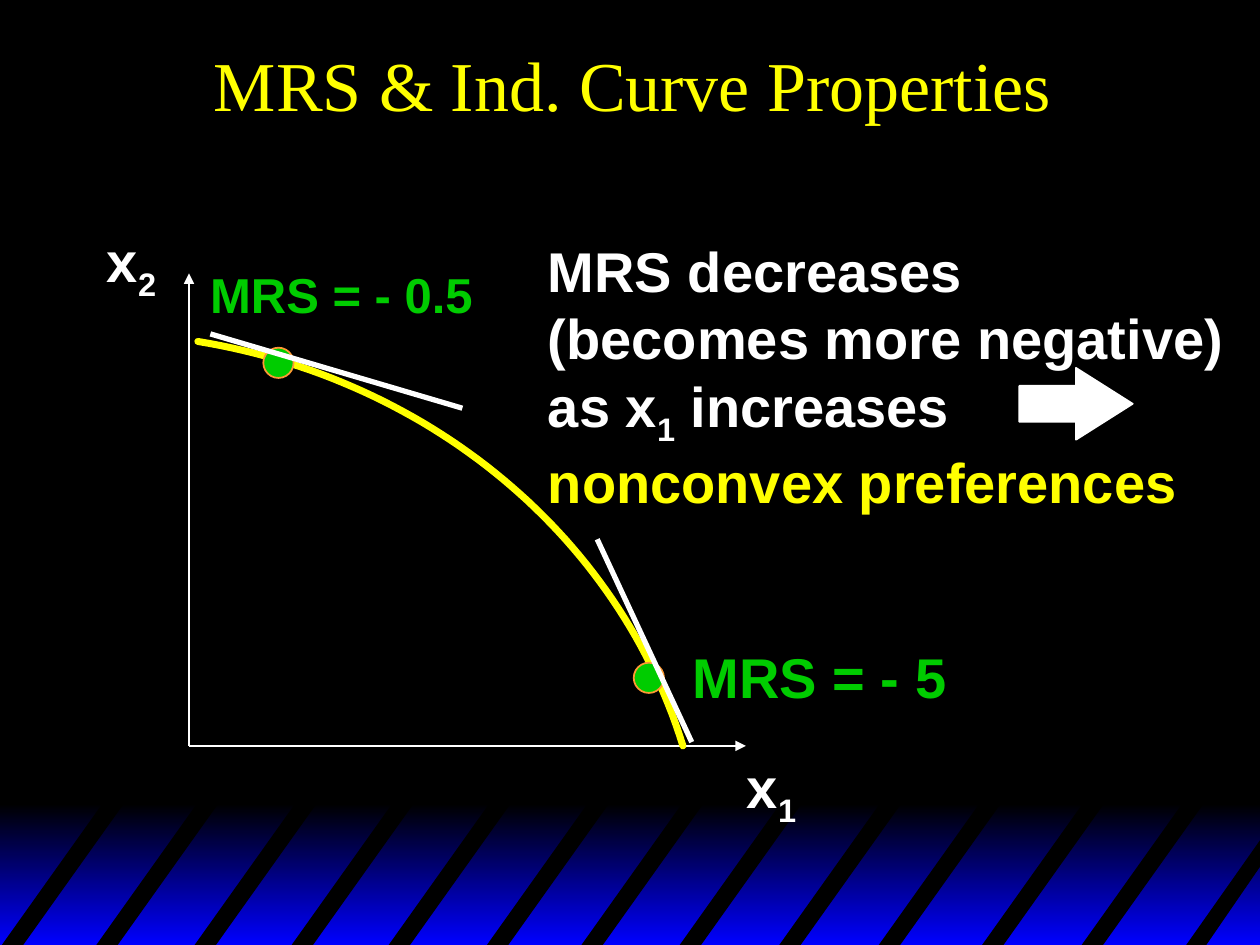
import pptx
import pptx.dml.color
import pptx.enum.shapes
import pptx.enum.text
import pptx.oxml.ns
import pptx.util
from dataclasses import dataclass
from lxml import etree
from pptx.util import Inches


def rgb(code):
    return pptx.dml.color.RGBColor.from_string(code)


@dataclass(frozen=True)
class Theme:
    black = rgb("000000")
    blue = rgb("0000FF")
    white = rgb("FFFFFF")
    yellow = rgb("FFFF00")
    green = rgb("00CC00")
    orange = rgb("FF9933")
    heading_font = "Times New Roman"
    body_font = "Arial"
    heading = 40
    body = 32
    small = 28


theme = Theme()
qn = pptx.oxml.ns.qn

deck = pptx.Presentation()
deck.slide_width, deck.slide_height = Inches(10), Inches(7.5)
slide = deck.slides.add_slide(deck.slide_layouts[6])
slide.background.fill.solid()
slide.background.fill.fore_color.rgb = theme.black
shapes = slide.shapes
kinds = pptx.enum.shapes.MSO_SHAPE

# Blue glow along the foot of the slide, cut by slanted black stripes
glow = shapes.add_shape(kinds.RECTANGLE, 0, Inches(6.38), Inches(10), Inches(1.12))
glow.shadow.inherit = False
glow.line.fill.background()
glow.fill.gradient()
glow.fill.gradient_angle = 270
for stop, position, colour in zip(glow.fill.gradient_stops, (0, 1), (theme.black, theme.blue)):
    stop.position = position
    stop.color.rgb = colour

stripe_lefts = [0, 0.75, 1.53, 2.3, 3.07, 3.85, 4.6, 5.38, 6.17, 6.96, 7.78, 8.57]
stripes = [
    [(left, 7.52), (left + 0.84, 6.34), (left + 1.01, 6.34), (left + 0.17, 7.52)]
    for left in stripe_lefts
]
stripes.append([(9.4, 7.52), (10.02, 6.64), (10.02, 6.85), (9.56, 7.52)])
for corners in stripes:
    points = [(Inches(x), Inches(y)) for x, y in corners]
    outline = shapes.build_freeform(*points[0])
    outline.add_line_segments(points[1:], close=True)
    stripe = outline.convert_to_shape()
    stripe.shadow.inherit = False
    stripe.fill.solid()
    stripe.fill.fore_color.rgb = theme.black
    stripe.line.fill.background()


def add_text(box, pieces, size, font=theme.body_font, bold=True, wrap=True):
    """Add a text box; each piece is (text, colour, is_subscript), "\\n" breaks the line."""
    label = shapes.add_textbox(*map(Inches, box))
    label.text_frame.word_wrap = wrap
    paragraph = label.text_frame.paragraphs[0]
    for text, colour, is_subscript in pieces:
        if text == "\n":
            paragraph.add_line_break()
            continue
        run = paragraph.add_run()
        run.text = text
        run.font.name, run.font.size, run.font.bold = font, pptx.util.Pt(size), bold
        run.font.color.rgb = colour
        if is_subscript:
            run._r.get_or_add_rPr().set("baseline", "-25000")
    return label


def add_line(start, end, width, arrow=False):
    line = shapes.add_connector(
        pptx.enum.shapes.MSO_CONNECTOR.STRAIGHT, *map(Inches, start + end))
    line.line.color.rgb = theme.white
    line.line.width = pptx.util.Pt(width)
    if arrow:
        etree.SubElement(line.line._get_or_add_ln(), qn("a:tailEnd"), type="triangle")
    etree.SubElement(line._element.spPr, qn("a:effectLst"))


title = add_text((0.77, 0, 8.5, 1.33), [("MRS & Ind. Curve Properties", theme.yellow, False)],
                 theme.heading, theme.heading_font, bold=False)
title.text_frame.vertical_anchor = pptx.enum.text.MSO_ANCHOR.MIDDLE
title.text_frame.paragraphs[0].alignment = pptx.enum.text.PP_ALIGN.CENTER

# Axes
origin = (1.5, 5.92)
for axis_end in [(1.5, 2.17), (5.92, 5.92)]:
    add_line(origin, axis_end, 1, arrow=True)

# Indifference curve: a cubic Bezier sampled at equal steps
controls = [(1.57, 2.71), (3.41, 3.01), (4.91, 4.26), (5.42, 5.92)]
steps = 60
curve_points = []
for step in range(steps + 1):
    t = step / steps
    weights = [(1 - t) ** 3, 3 * t * (1 - t) ** 2, 3 * t ** 2 * (1 - t), t ** 3]
    curve_points.append(tuple(
        Inches(sum(w * c[axis] for w, c in zip(weights, controls))) for axis in (0, 1)))
curve_builder = shapes.build_freeform(*curve_points[0])
curve_builder.add_line_segments(curve_points[1:], close=False)
curve = curve_builder.convert_to_shape()
curve.shadow.inherit = False
curve.fill.background()
curve.line.color.rgb = theme.yellow
curve.line.width = pptx.util.Pt(4)
curve.line._get_or_add_ln().set("cap", "rnd")

# Points of tangency, then the tangents over them
for left, top in [(5.03, 5.26), (2.09, 2.76)]:
    point = shapes.add_shape(kinds.OVAL, *map(Inches, (left, top, 0.24, 0.24)))
    point.shadow.inherit = False
    point.fill.solid()
    point.fill.fore_color.rgb = theme.green
    point.line.color.rgb = theme.orange
    point.line.width = pptx.util.Pt(1)

add_line((1.67, 2.65), (3.67, 3.24), 3)
add_line((4.74, 4.28), (5.49, 5.89), 3)

# Labels
for left, top, index in [(5.83, 5.92, "1"), (0.75, 1.75, "2")]:
    add_text((left, top, 0.75, 0.71),
             [("x", theme.white, False), (index, theme.white, True)], theme.body)
add_text((1.57, 2.05, 2.29, 0.57), [("MRS = - 0.5", theme.green, False)],
         theme.small, wrap=False)
add_text((5.4, 5.05, 2.22, 0.63), [("MRS = - 5", theme.green, False)],
         theme.body, wrap=False)

line_break = ("\n", None, False)
add_text((4.25, 1.83, 5.75, 2.31), [
    ("MRS decreases", theme.white, False), line_break,
    ("(becomes more negative)", theme.white, False), line_break,
    ("as x", theme.white, False), ("1", theme.white, True),
    (" increases", theme.white, False), line_break,
    ("nonconvex preferences", theme.yellow, False),
], theme.body)

implies = shapes.add_shape(kinds.RIGHT_ARROW, *map(Inches, (8.09, 2.92, 0.9, 0.57)))
implies.shadow.inherit = False
implies.adjustments[0], implies.adjustments[1] = 0.5, 0.79
implies.fill.solid()
implies.fill.fore_color.rgb = theme.white
implies.line.color.rgb = theme.white
implies.line.width = pptx.util.Pt(1)

deck.save("out.pptx")
